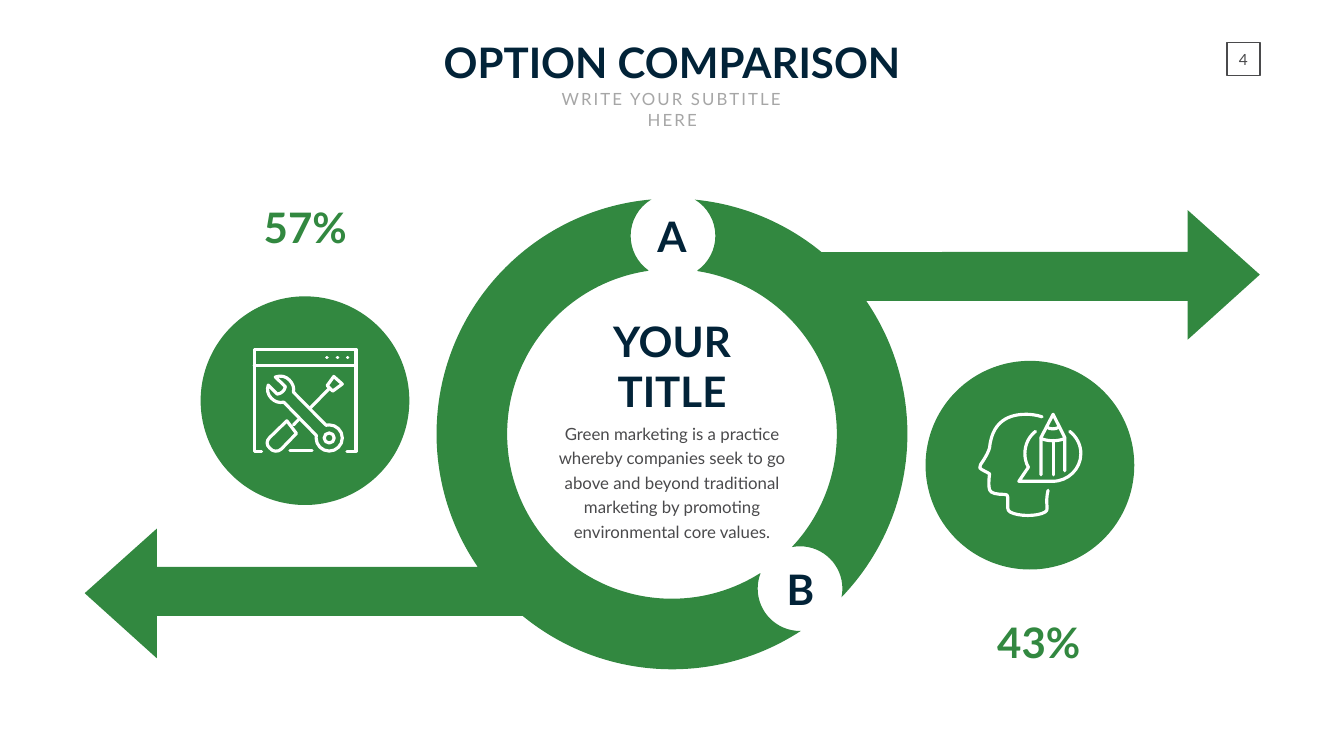
from copy import deepcopy
from math import ceil, cos, floor, radians, sin, tan

from lxml.etree import SubElement
from pptx import Presentation
from pptx.dml.color import RGBColor
from pptx.enum.shapes import MSO_SHAPE
from pptx.enum.text import MSO_ANCHOR, MSO_AUTO_SIZE, PP_ALIGN
from pptx.oxml.ns import qn
from pptx.util import Pt

PX = 9144  # EMU in one px, 100 px to the inch
SIZE = (2666, 1500)
FONT = "Lato"
HEX = {"green": "328840", "navy": "022338", "gray": "A6A6A6",
       "dark": "4A4A4C", "white": "FFFFFF"}

TITLE = ("OPTION COMPARISON", (861, 67, 944, 111))
SUB = ("WRITE YOUR SUBTITLE HERE", (1062, 172, 543, 50))
PAGE = ("4", (2434, 84, 65, 66))
BODY = ("Green marketing is a practice whereby companies seek to go above and "
        "beyond traditional marketing by promoting environmental core values.",
        (1079, 821, 508, 264))
HEAD = ("YOUR TITLE", (1134, 620, 398, 212))
LABELS = [
    ("A", (1292, 412, 82, 111), "navy"),
    ("B", (1550, 1113, 76, 111), "navy"),
    ("57%", (509, 395, 193, 111), "green"),
    ("43%", (1960, 1217, 201, 111), "green"),
]
DISCS = [(1836, 716, 414, 414), (398, 588, 414, 414)]

# A step is a point (x, y), an arc (cx, cy, r, from, to) in degrees,
# or a curve (x1, y1, x2, y2, x, y) from the last point.
OUTER, INNER = (1333, 861, 467), (1333, 861, 327)
KNOB_A, KNOB_B = (1335, 468, 84), (1587, 1168, 84)
ARROWS = [
    [(2499, 545), (2356, 417), (2356, 500),
     (*OUTER, -50.6, -84.5), (*KNOB_A, -59, 55), (*INNER, -81, 43),
     (*KNOB_B, -101, 12), (*OUTER, 44, -34.4),
     (2356, 597), (2356, 674)],
    [(168, 1177), (311, 1306), (311, 1222),
     (*OUTER, 129.4, 57), (*KNOB_B, 89, 201), (*INNER, 57.6, 261.7),
     (*KNOB_A, 125.4, 239.5), (*OUTER, 265, 145.6),
     (311, 1125), (311, 1049)],
]

TOOLS = [
    [(519, 895), (504, 895), (504, 693), (706, 693), (706, 895), (688, 895)],
    [(504, 725), (706, 725)],
    [(575, 894), (619, 894)],
    *[[(x, 709), (x + 1, 709)] for x in (648, 669, 689)],
    [(569, 835), (535, 868), (528, 875, 528, 883, 535, 889),
     (541, 897, 552, 897, 558, 891), (588, 860), (569, 835)],
    [(582, 843), (593, 832)],
    [(616, 809), (652, 772)],
    [(662, 747), (649, 765), (660, 776), (679, 762), (662, 747)],
    [(546, 748), (558, 744, 567, 747, 574, 754),
     (581, 761, 584, 770, 582, 778), (646, 843),
     (653, 869, 26, -105, 191), (563, 798),
     (553, 800, 545, 797, 538, 790), (531, 783, 529, 773, 532, 764),
     (550, 782), (558, 781, 565, 775, 566, 767), (546, 748)],
    [(653, 869, 10, 0, 360)],
]
IDEA = [
    [(2067, 827), (2055, 823, 2043, 822, 2036, 822),
     (2015, 822, 1969, 826, 1963, 888), (1962, 893, 1958, 903, 1945, 922),
     (1942, 927, 1943, 931, 1948, 932), (1963, 940),
     (1961, 955, 1961, 965, 1963, 972), (1965, 979, 1978, 981, 1992, 981),
     (1997, 981, 1999, 982, 1999, 986), (1999, 1008),
     (1999, 1012, 2001, 1014, 2004, 1016),
     (2020, 1025, 2058, 1025, 2073, 1016),
     (2077, 1014, 2077, 1011, 2077, 1008),
     (2076, 995, 2076, 984, 2079, 973)],
    [(2054, 856), (2041, 866, 2033, 882, 2033, 900),
     (2033, 909, 2035, 919, 2040, 927), (2021, 955), (2088, 955),
     (2119, 955, 2144, 930, 2144, 900), (2144, 883, 2136, 867, 2122, 856)],
    [(2065, 942), (2065, 868), (2089, 822), (2112, 868), (2112, 934)],
    [(2089, 942), (2089, 874)],
    [(2065, 870), (2078, 876, 2099, 876, 2112, 870)],
    [(2077, 848), (2084, 852, 2093, 852, 2100, 848)],
]


def emu(box):
    return [v * PX for v in box]


def rgb(name):
    return RGBColor.from_string(HEX[name])


def bend(cx, cy, r, start, end):
    """Give an arc as its first point, then curves cut at quarter turns."""
    low, high = sorted((start, end))
    cuts = [90 * q for q in range(floor(low / 90) + 1, ceil(high / 90))]
    stops = sorted([low, *cuts, high], reverse=start > end)

    def spot(deg, k=0):
        a = radians(deg)
        return (cx + r * (cos(a) - k * sin(a)), cy + r * (sin(a) + k * cos(a)))

    segs = [[spot(start)]]
    for a, b in zip(stops, stops[1:]):
        k = 4 / 3 * tan(radians(b - a) / 4)
        segs.append([spot(a, k), spot(b, -k), spot(b)])
    return segs


def trace(steps):
    """Turn steps into segments in EMU: one point a line, three a curve."""
    segs = []
    for step in steps:
        if len(step) == 5:
            segs += bend(*step)
        else:
            segs.append(list(zip(step[::2], step[1::2])))
    return [[(x * PX, y * PX) for x, y in seg] for seg in segs]


def outline(shapes, parts, close):
    paths = [trace(part) for part in parts]
    pen = shapes.build_freeform(*paths[0][0][0])
    for i, segs in enumerate(paths):
        if i:
            pen.move_to(*segs[0][0])
        pen.add_line_segments([seg[-1] for seg in segs[1:]], close=close)
    shape = pen.convert_to_shape()
    shape.shadow.inherit = False
    lines = list(shape._element.iter(qn("a:lnTo")))
    for line, seg in zip(lines, [s for segs in paths for s in segs[1:]]):
        if len(seg) == 3:
            line.tag = qn("a:cubicBezTo")
            for i, (x, y) in enumerate(seg[:2]):
                point = deepcopy(line[-1])
                point.set("x", str(round(x - shape.left)))
                point.set("y", str(round(y - shape.top)))
                line.insert(i, point)
    return shape


def paint(shape, color):
    shape.shadow.inherit = False
    shape.fill.solid()
    shape.fill.fore_color.rgb = rgb(color)
    shape.line.fill.background()


def icon(shapes, parts):
    shape = outline(shapes, parts, False)
    shape.fill.background()
    shape.line.color.rgb = rgb("white")
    shape.line.width = Pt(4.5)
    ln = shape.line._get_or_add_ln()
    ln.set("cap", "rnd")
    SubElement(ln, qn("a:round"))


def write(shape, text, size, color, bold=False, wrap=False, top=False, gap=0):
    frame = shape.text_frame
    frame.text = text
    frame.auto_size = MSO_AUTO_SIZE.NONE
    frame.word_wrap = wrap
    frame.vertical_anchor = MSO_ANCHOR.TOP if top else MSO_ANCHOR.MIDDLE
    par = frame.paragraphs[0]
    par.alignment = PP_ALIGN.CENTER
    font = par.font
    font.name, font.size, font.bold = FONT, Pt(size), bold
    font.color.rgb = rgb(color)
    if gap:
        par.runs[0]._r.get_or_add_rPr().set("spc", str(gap * 100))
    return frame


def inset(frame, x, y):
    frame.margin_left = frame.margin_right = x * PX
    frame.margin_top = frame.margin_bottom = y * PX


def main():
    deck = Presentation()
    deck.slide_width, deck.slide_height = emu(SIZE)
    shapes = deck.slides.add_slide(deck.slide_layouts[5]).shapes

    text, box = TITLE
    title = shapes.title
    title.left, title.top, title.width, title.height = emu(box)
    write(title, text, 60, "navy", bold=True, top=True)

    text, box = PAGE
    page = shapes.add_shape(MSO_SHAPE.RECTANGLE, *emu(box))
    page.shadow.inherit = False
    page.fill.background()
    page.line.color.rgb = rgb("dark")
    page.line.width = Pt(2)
    inset(write(page, text, 22, "dark", gap=3), 0, 0)

    text, box = SUB
    write(shapes.add_textbox(*emu(box)), text, 24, "gray",
          wrap=True, top=True, gap=3)

    for steps in ARROWS:
        paint(outline(shapes, [steps], True), "green")
    for box in DISCS:
        paint(shapes.add_shape(MSO_SHAPE.OVAL, *emu(box)), "green")
    for parts in (TOOLS, IDEA):
        icon(shapes, parts)
    for text, box, color in LABELS:
        write(shapes.add_textbox(*emu(box)), text, 60, color, bold=True)

    text, box = BODY
    body = write(shapes.add_textbox(*emu(box)), text, 24, "dark", wrap=True)
    inset(body, 24, 12)
    body.paragraphs[0].line_spacing = Pt(35)
    text, box = HEAD
    write(shapes.add_textbox(*emu(box)), text, 60, "navy", bold=True, wrap=True)

    deck.save("out.pptx")


if __name__ == "__main__":
    main()
